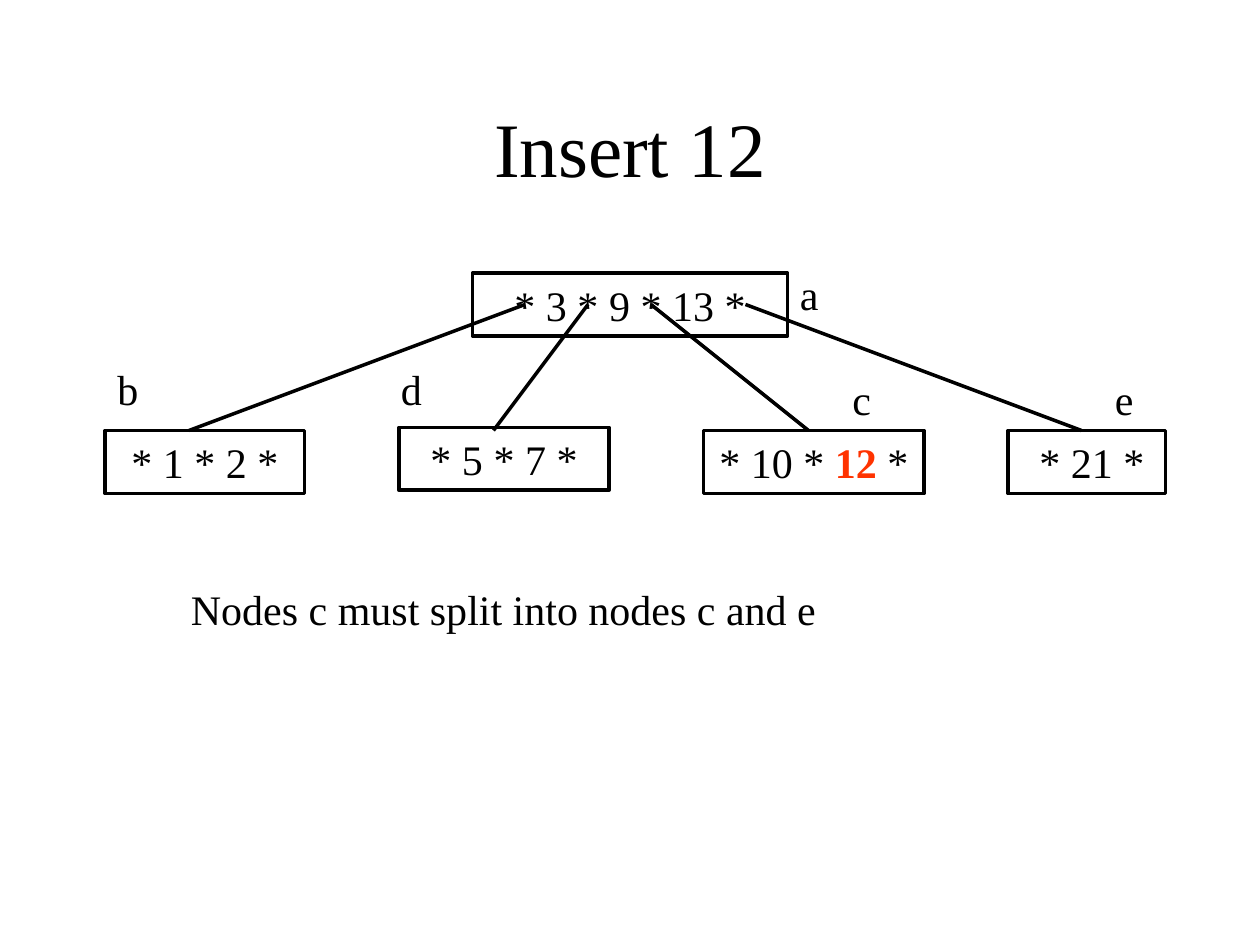
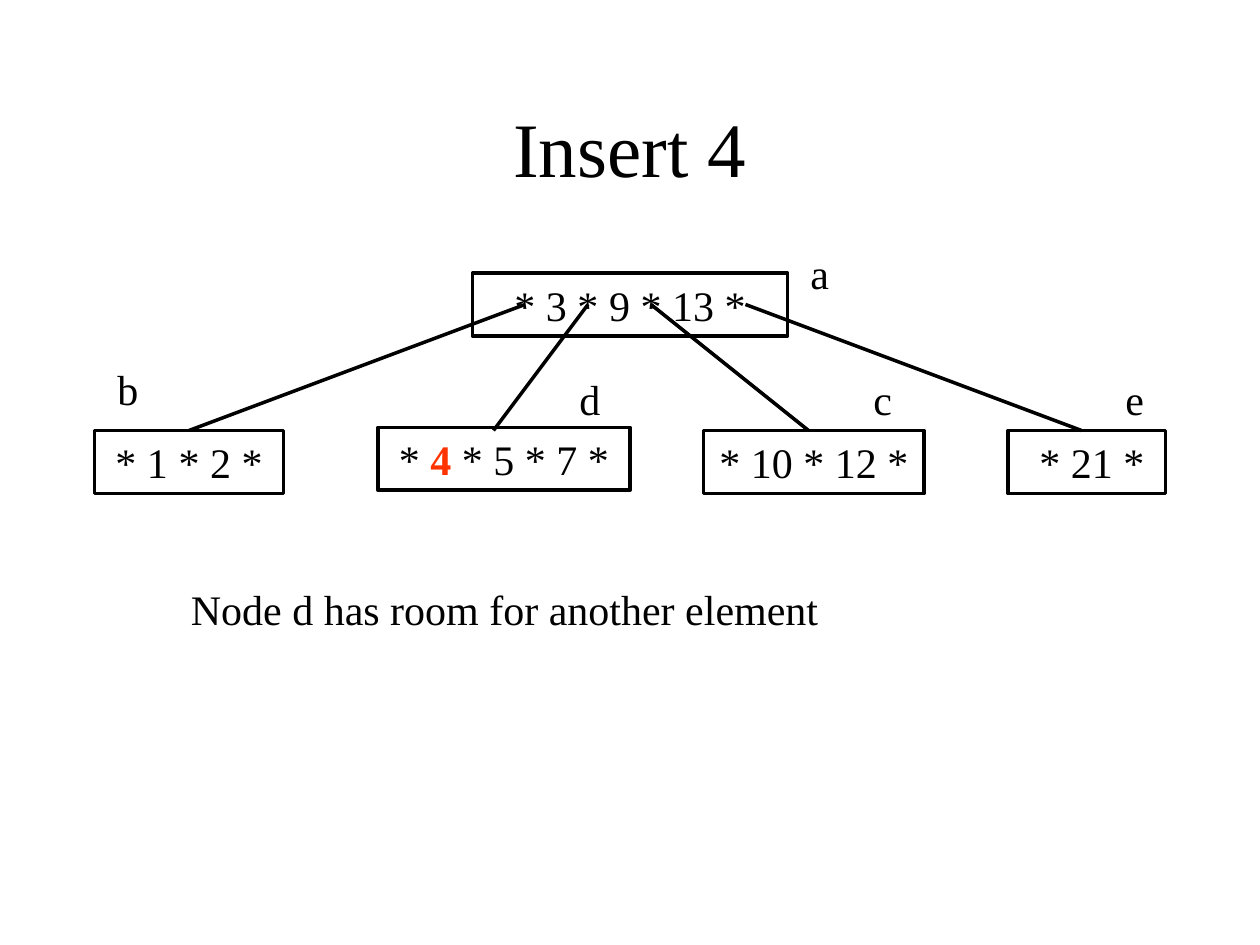
from dataclasses import dataclass

from lxml.etree import SubElement
from pptx import Presentation
from pptx.dml.color import RGBColor
from pptx.enum.shapes import MSO_CONNECTOR, MSO_SHAPE
from pptx.enum.text import MSO_ANCHOR, MSO_AUTO_SIZE, PP_ALIGN
from pptx.oxml.ns import qn
from pptx.shapes.autoshape import Shape
from pptx.slide import Slide
from pptx.util import Cm, Length, Pt


@dataclass(frozen=True)
class Theme:
    font: str = "Times New Roman"
    ink: RGBColor = RGBColor(0x00, 0x00, 0x00)
    inserted: RGBColor = RGBColor(0xFF, 0x33, 0x00)
    paper: RGBColor = RGBColor(0xFF, 0xFF, 0xFF)
    title_size: Length = Pt(44)
    text_size: Length = Pt(24)
    space_before: Length = Pt(15)
    line_width: Length = Pt(2)


THEME = Theme()
ROW_HEIGHT = 6  # grid units, as are all positions below
POINTER_Y, LEAF_Y = 29, 41
TOP_SIDE = 0


@dataclass(frozen=True)
class TreeNode:
    keys: str
    x: float
    y: float
    width: float
    label: str
    label_x: float
    label_y: float
    inserted: str = ""  # the key shown as new


@dataclass(frozen=True)
class Pointer:
    start_x: float
    end_x: float


@dataclass(frozen=True)
class InsertStep:
    title: str
    root: TreeNode
    leaves: tuple[TreeNode, ...]
    remark: str


# Child pointers of the root, in the order of the leaves
POINTERS = (Pointer(50, 18), Pointer(56, 47), Pointer(62, 77), Pointer(71, 103))

STEPS = (
    InsertStep(
        "Insert 12",
        TreeNode("* 3 * 9 * 13 *", 45, 26, 30, "a", 75, 25),
        (
            TreeNode("* 1 * 2 *", 10, LEAF_Y, 19, "b", 10, 34),
            TreeNode("* 5 * 7 *", 38, 40.7, 20, "d", 37, 34),
            TreeNode("* 10 * 12 *", 67, LEAF_Y, 21, "c", 80, 35, inserted="12"),
            TreeNode(" * 21 *", 96, LEAF_Y, 15, "e", 105, 35),
        ),
        "Nodes c must split into nodes c and e",
    ),
    InsertStep(
        "Insert 4",
        TreeNode("* 3 * 9 * 13 *", 45, 26, 30, "a", 76, 23),
        (
            TreeNode("* 1 * 2 *", 9, LEAF_Y, 18, "b", 10, 34),
            TreeNode("* 4 * 5 * 7 *", 36, 40.7, 24, "d", 54, 35, inserted="4"),
            TreeNode("* 10 * 12 *", 67, LEAF_Y, 21, "c", 82, 35),
            TreeNode(" * 21 *", 96, LEAF_Y, 15, "e", 106, 35),
        ),
        "Node d has room for another element",
    ),
)


def grid(units: float) -> Length:
    """Convert grid units, twelve to 2.54 cm, to a length."""
    return Cm(units * 2.54 / 12)


def write(box: Shape, text: str, align: PP_ALIGN, inserted: str = "") -> None:
    """Fill the box with one paragraph, marking the inserted key."""
    frame = box.text_frame
    frame.word_wrap = True
    frame.auto_size = MSO_AUTO_SIZE.SHAPE_TO_FIT_TEXT
    frame.vertical_anchor = MSO_ANCHOR.TOP
    paragraph = frame.paragraphs[0]
    paragraph.alignment = align
    paragraph.space_before = THEME.space_before
    paragraph.font.name = THEME.font
    paragraph.font.size = THEME.text_size
    paragraph.font.color.rgb = THEME.ink
    parts = text.partition(inserted) if inserted else (text,)
    for part in parts:
        run = paragraph.add_run()
        run.text = part
        if part == inserted:
            run.font.bold = True
            run.font.color.rgb = THEME.inserted


def add_title(slide: Slide, text: str) -> None:
    title = slide.shapes.title
    title.left, title.top = grid(9), grid(8)
    title.width, title.height = grid(102), grid(12)
    title.text_frame.text = text
    title.text_frame.vertical_anchor = MSO_ANCHOR.MIDDLE
    paragraph = title.text_frame.paragraphs[0]
    paragraph.alignment = PP_ALIGN.CENTER
    paragraph.font.name = THEME.font
    paragraph.font.size = THEME.title_size
    paragraph.font.color.rgb = THEME.ink


def add_caption(slide: Slide, text: str, x: float, y: float, width: float) -> None:
    caption = slide.shapes.add_textbox(grid(x), grid(y), grid(width), grid(ROW_HEIGHT))
    write(caption, text, PP_ALIGN.LEFT)


def add_node(slide: Slide, node: TreeNode) -> Shape:
    box = slide.shapes.add_shape(
        MSO_SHAPE.RECTANGLE, grid(node.x), grid(node.y), grid(node.width), grid(ROW_HEIGHT)
    )
    box.shadow.inherit = False
    box.fill.background()
    box.line.color.rgb = THEME.ink
    box.line.width = THEME.line_width
    write(box, node.keys, PP_ALIGN.CENTER, node.inserted)
    add_caption(slide, node.label, node.label_x, node.label_y, ROW_HEIGHT)
    return box


def add_pointer(slide: Slide, pointer: Pointer, leaf: TreeNode, leaf_box: Shape) -> None:
    """Draw a child pointer, joined to the leaf where it meets its top middle."""
    link = slide.shapes.add_connector(
        MSO_CONNECTOR.STRAIGHT,
        grid(pointer.start_x), grid(POINTER_Y), grid(pointer.end_x), grid(LEAF_Y),
    )
    link.line.color.rgb = THEME.ink
    link.line.width = THEME.line_width
    SubElement(link._element.spPr, qn("a:effectLst"))
    if (pointer.end_x, LEAF_Y) == (leaf.x + leaf.width / 2, leaf.y):
        link.end_connect(leaf_box, TOP_SIDE)


def add_step(slide: Slide, step: InsertStep) -> None:
    slide.background.fill.solid()
    slide.background.fill.fore_color.rgb = THEME.paper
    add_title(slide, step.title)
    add_node(slide, step.root)
    for leaf, pointer in zip(step.leaves, POINTERS):
        add_pointer(slide, pointer, leaf, add_node(slide, leaf))
    add_caption(slide, step.remark, 17, 55, 83)


def main() -> None:
    deck = Presentation()
    deck.slide_width, deck.slide_height = Cm(25.4), Cm(19.05)
    title_only = deck.slide_layouts[5]
    for step in STEPS:
        add_step(deck.slides.add_slide(title_only), step)
    deck.save("out.pptx")


if __name__ == "__main__":
    main()
